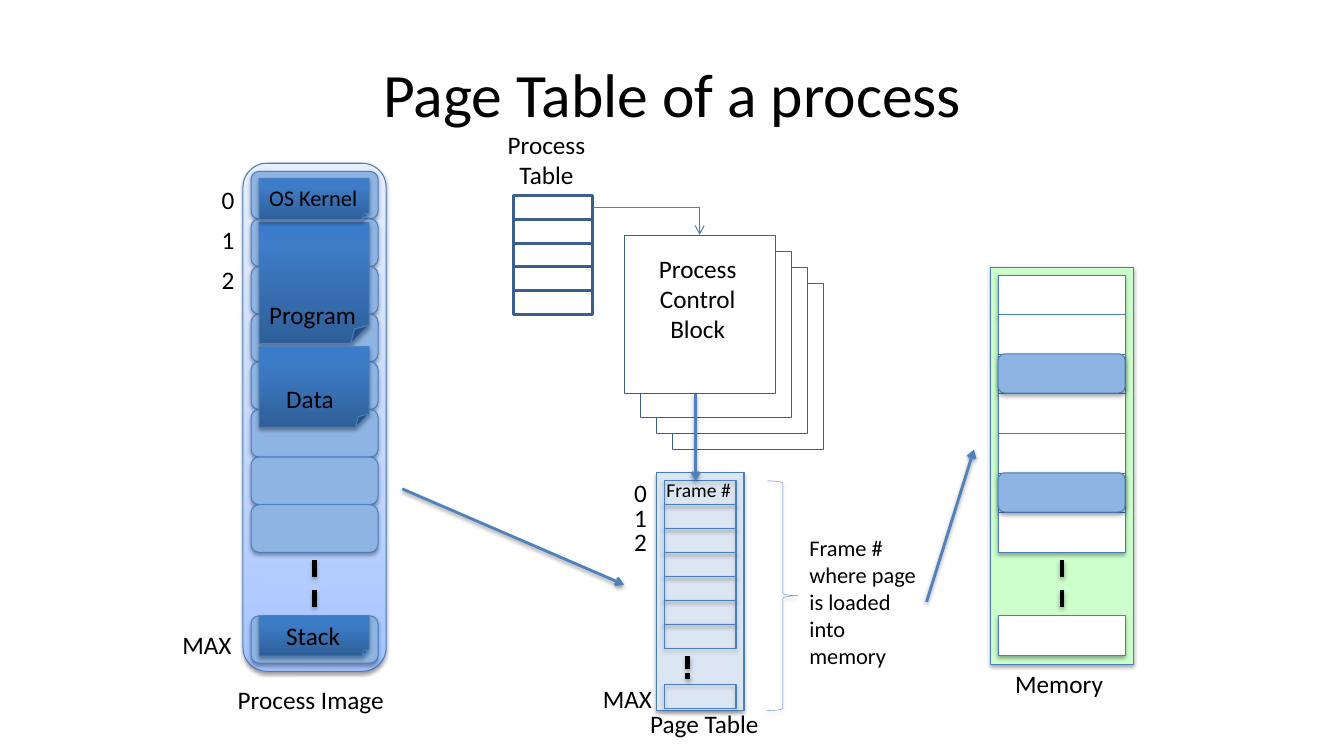
import pptx
import pptx.util
import pptx.dml.color
import pptx.enum.dml
import pptx.enum.shapes
import pptx.enum.text
import pptx.oxml
import pptx.oxml.ns

Inches, Pt = pptx.util.Inches, pptx.util.Pt
KIND = pptx.enum.shapes.MSO_SHAPE
LINK = pptx.enum.shapes.MSO_CONNECTOR
DASH = pptx.enum.dml.MSO_LINE
ALIGN = pptx.enum.text.PP_ALIGN
FIT = pptx.enum.text.MSO_AUTO_SIZE
ANCHOR = pptx.enum.text.MSO_ANCHOR
qn = pptx.oxml.ns.qn

COLORS = {
    "ink": "000000", "white": "FFFFFF", "page": "8EB4E3", "table": "DCE6F2",
    "memory": "CCFFCC", "edge": "4B7EBC", "arrow": "4F81BD", "block": "3A5F8C",
}
IMAGE = [(0, "A4C4FF"), (35, "BFD4FF"), (100, "E6EEFF")]
SHEET = [(0, "2F5F99"), (80, "3D7CC7"), (100, "3A7CCB")]
SOFT = (38, 3.1, 1.6)
DEEP = (35, 3.1, 1.8)


def node(tag, body="", **attrs):
    """Return an XML element of the drawing namespace."""
    text = " ".join(f'{key}="{value}"' for key, value in attrs.items())
    space = pptx.oxml.ns.nsdecls("a")
    return pptx.oxml.parse_xml(f"<a:{tag} {space} {text}>{body}</a:{tag}>")


def write(frame, text, size=18, color="ink", align=ALIGN.LEFT, font="Calibri"):
    frame.text = text
    for para in frame.paragraphs:
        para.alignment = align
        para.font.size = Pt(size)
        para.font.name = font
        para.font.color.rgb = rgb(color)


def rgb(name):
    return pptx.dml.color.RGBColor.from_string(COLORS[name])


class Board:
    def __init__(self, slide):
        self.slide = slide
        self.shapes = slide.shapes

    def shade(self, item, shadow):
        """Set the shadow as opacity, blur and distance, or remove it."""
        props = item._element.spPr
        effects = props.find(qn("a:effectLst"))
        if effects is None:
            effects = node("effectLst")
            props.append(effects)
        if shadow:
            alpha, blur, dist = shadow
            body = f'<a:srgbClr val="000000"><a:alpha val="{alpha * 1000}"/></a:srgbClr>'
            effects.append(node("outerShdw", body, blurRad=Pt(blur), dist=Pt(dist),
                                dir=5400000, rotWithShape=0))

    def blend(self, shape, stops):
        """Fill the shape with a gradient that runs upward."""
        shape.fill.background()
        marks = "".join(f'<a:gs pos="{pos * 1000}"><a:srgbClr val="{color}"/></a:gs>'
                        for pos, color in stops)
        body = f'<a:gsLst>{marks}</a:gsLst><a:lin ang="16200000" scaled="0"/>'
        props = shape._element.spPr
        props.replace(props.find(qn("a:noFill")), node("gradFill", body, rotWithShape=1))

    def shape(self, left, top, width, height, kind=KIND.RECTANGLE, fill=None,
              line="edge", weight=0.75, shadow=DEEP):
        item = self.shapes.add_shape(
            kind, Inches(left), Inches(top), Inches(width), Inches(height))
        item.shadow.inherit = False
        if isinstance(fill, list):
            self.blend(item, fill)
        elif fill:
            item.fill.solid()
            item.fill.fore_color.rgb = rgb(fill)
        else:
            item.fill.background()
        item.line.color.rgb = rgb(line)
        item.line.width = Pt(weight)
        self.shade(item, shadow)
        return item

    def stack(self, left, top, width, span, count, **style):
        """Draw equal cells on top of each other and return them."""
        step = span / count
        return [self.shape(left, top + row * step, width, step, **style)
                for row in range(count)]

    def label(self, text, left, top, width, height, wrap=False, **style):
        box = self.shapes.add_textbox(
            Inches(left), Inches(top), Inches(width), Inches(height))
        frame = box.text_frame
        write(frame, text, **style)
        frame.word_wrap = wrap
        frame.auto_size = FIT.SHAPE_TO_FIT_TEXT
        return box

    def count(self, left, top, step):
        for num in range(3):
            self.label(str(num), left, top + num * step, 0.33, 0.4)

    def line(self, start, end, kind=LINK.STRAIGHT, color="arrow", weight=2,
             dash=None, head=True, shadow=SOFT):
        item = self.shapes.add_connector(kind, *map(Inches, start + end))
        item.line.color.rgb = rgb(color)
        item.line.width = Pt(weight)
        if dash:
            item.line.dash_style = dash
        if head:
            item._element.spPr.find(qn("a:ln")).append(node("tailEnd", type="arrow"))
        self.shade(item, shadow)
        return item

    def gap(self, x, top, end, dash=DASH.DASH):
        """Draw the dashed mark for rows left out."""
        self.line((x, top), (x, end), color="ink", weight=3, dash=dash,
                  head=False, shadow=DEEP)

    def sheet(self, top, height):
        self.shape(2.57, top, 1.09, height, kind=KIND.FOLDED_CORNER, fill=SHEET)


def draw_image(board):
    page = dict(kind=KIND.ROUNDED_RECTANGLE, fill="page")
    board.shape(2.41, 1.62, 1.42, 5.04, kind=KIND.ROUNDED_RECTANGLE, fill=IMAGE,
                shadow=SOFT)
    board.stack(2.49, 1.7, 1.26, 3.78, 8, **page)
    board.shape(2.49, 6.11, 1.26, 0.47, **page)
    board.gap(3.12, 5.56, 6.03)
    for top, height in ((2.21, 1.2), (3.44, 0.8), (6.11, 0.4), (1.77, 0.41)):
        board.sheet(top, height)
    board.label("Program", 2.57, 2.92, 1.08, 0.4)
    board.label("Data", 2.74, 3.75, 0.68, 0.4)
    board.label("Stack", 2.74, 6.11, 0.75, 0.4)
    board.label("OS Kernel", 2.57, 1.78, 1.09, 0.37, size=16)
    board.label("Process Image", 2.26, 6.74, 1.67, 0.4)
    board.count(2.1, 1.78, 0.395)
    board.label("MAX", 1.71, 6.19, 0.69, 0.4)


def draw_blocks(board):
    plain = dict(fill="white", line="block", shadow=None)
    for shift in (0.48, 0.32, 0.16):
        board.shape(6.19 + shift, 2.33 + shift, 1.5, 1.65, weight=0.25, **plain)
    front = board.shape(6.19, 2.33, 1.5, 1.57, weight=0.25, **plain)
    board.label("Process\nControl\nBlock", 6.43, 2.46, 0.98, 1.01, align=ALIGN.CENTER)
    rows = board.stack(5.09, 1.94, 0.79, 1.18, 5, weight=2, **plain)
    board.label("Process\nTable", 4.93, 1.23, 0.98, 0.71, align=ALIGN.CENTER)
    link = board.line((5.88, 2.06), (6.94, 2.33), kind=LINK.ELBOW, color="edge",
                      weight=0.75, shadow=None)
    link.begin_connect(rows[0], 3)
    link.end_connect(front, 0)
    link._element.spPr.find(qn("a:prstGeom")).set("prst", "bentConnector2")


def draw_memory(board):
    board.shape(9.82, 2.65, 1.42, 3.94, fill="memory")
    board.stack(9.9, 2.73, 1.26, 2.75, 7, fill="white")
    board.shape(9.9, 6.11, 1.26, 0.39, fill="white")
    for top in (3.51, 4.69):
        board.shape(9.9, top, 1.26, 0.39, kind=KIND.ROUNDED_RECTANGLE, fill="page")
    board.gap(10.53, 5.56, 6.03)
    board.label("Memory", 9.97, 6.58, 1.08, 0.4)


def draw_table(board):
    board.shape(6.51, 4.69, 0.87, 2.36, fill="table")
    board.stack(6.59, 4.77, 0.71, 1.66, 7)
    board.shape(6.59, 6.79, 0.71, 0.24)
    board.gap(6.82, 6.51, 6.74, dash=DASH.SQUARE_DOT)
    board.label("Frame #", 6.51, 4.69, 0.85, 0.34, size=14)
    board.label("Page Table", 6.35, 6.98, 1.31, 0.4)
    board.count(6.19, 4.69, 0.24)
    board.label("MAX", 5.88, 6.73, 0.69, 0.4)
    board.shape(7.61, 4.77, 0.31, 2.28, kind=KIND.RIGHT_BRACE, line="arrow",
                weight=0.25, shadow=SOFT)
    board.label("Frame # where page is loaded into memory", 7.93, 5.25, 1.26, 1.45,
                wrap=True, size=16)


def main():
    deck = pptx.Presentation()
    deck.slide_width, deck.slide_height = Inches(13.33), Inches(7.5)
    board = Board(deck.slides.add_slide(deck.slide_layouts[6]))
    title = board.label("Page Table of a process", 0.67, 0.3, 12, 1.25, wrap=True,
                        size=44, align=ALIGN.CENTER)
    title.text_frame.auto_size = FIT.NONE
    title.text_frame.vertical_anchor = ANCHOR.MIDDLE
    draw_image(board)
    draw_blocks(board)
    draw_memory(board)
    draw_table(board)
    for start, end in (((6.9, 3.91), (6.9, 4.77)), ((3.99, 4.85), (6.19, 5.8)),
                       ((9.19, 5.97), (9.66, 4.46))):
        board.line(start, end)
    deck.save("out.pptx")


if __name__ == "__main__":
    main()
